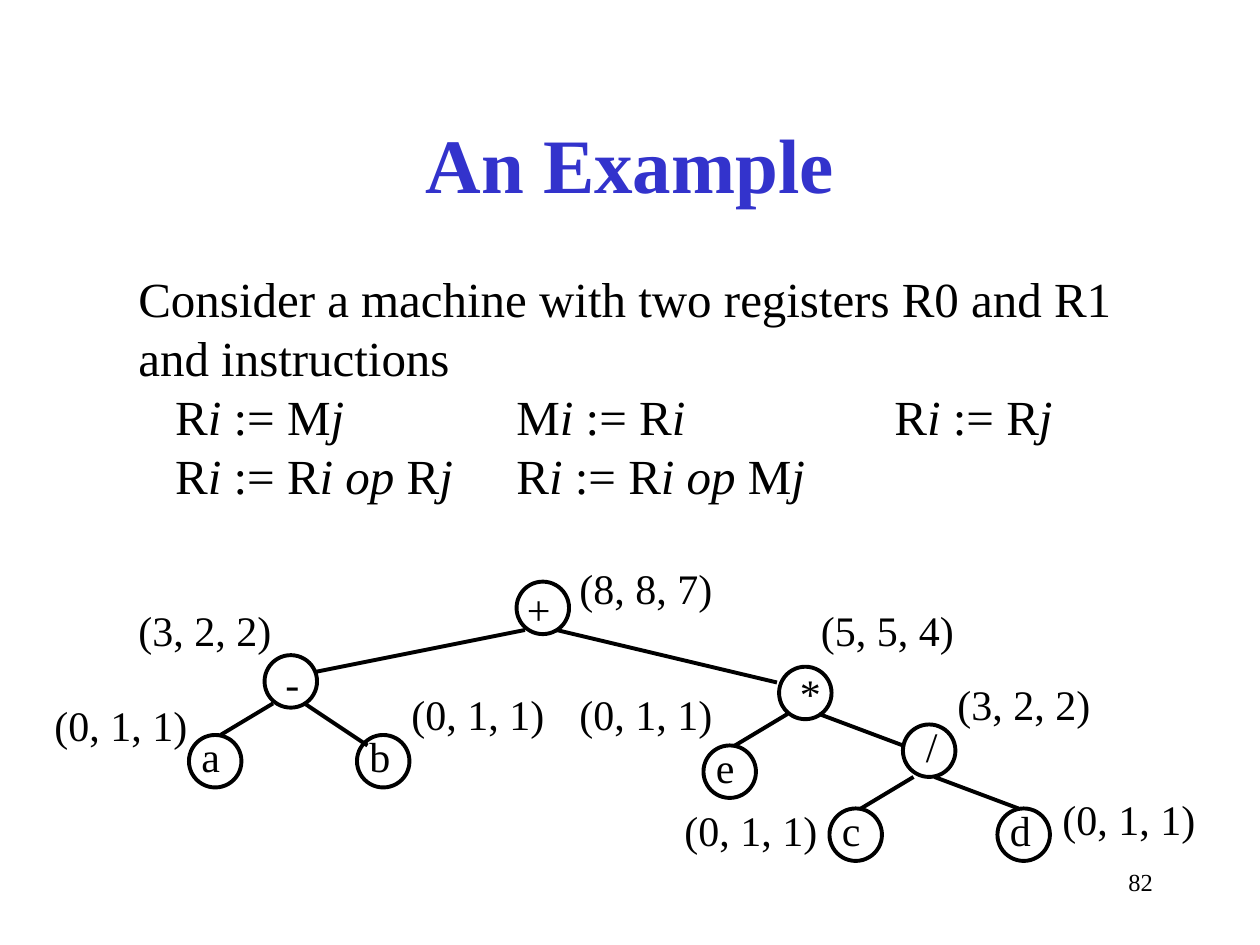
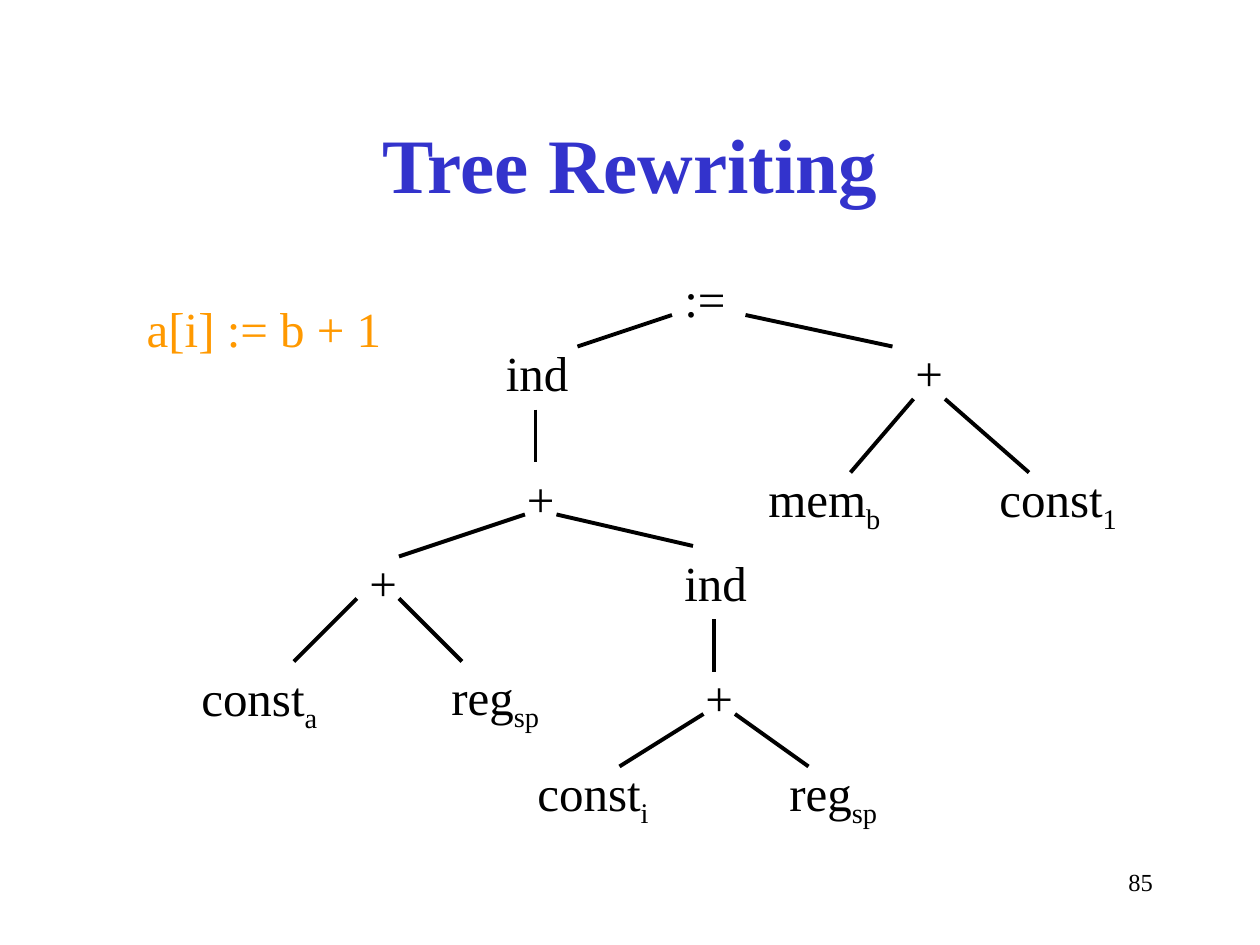
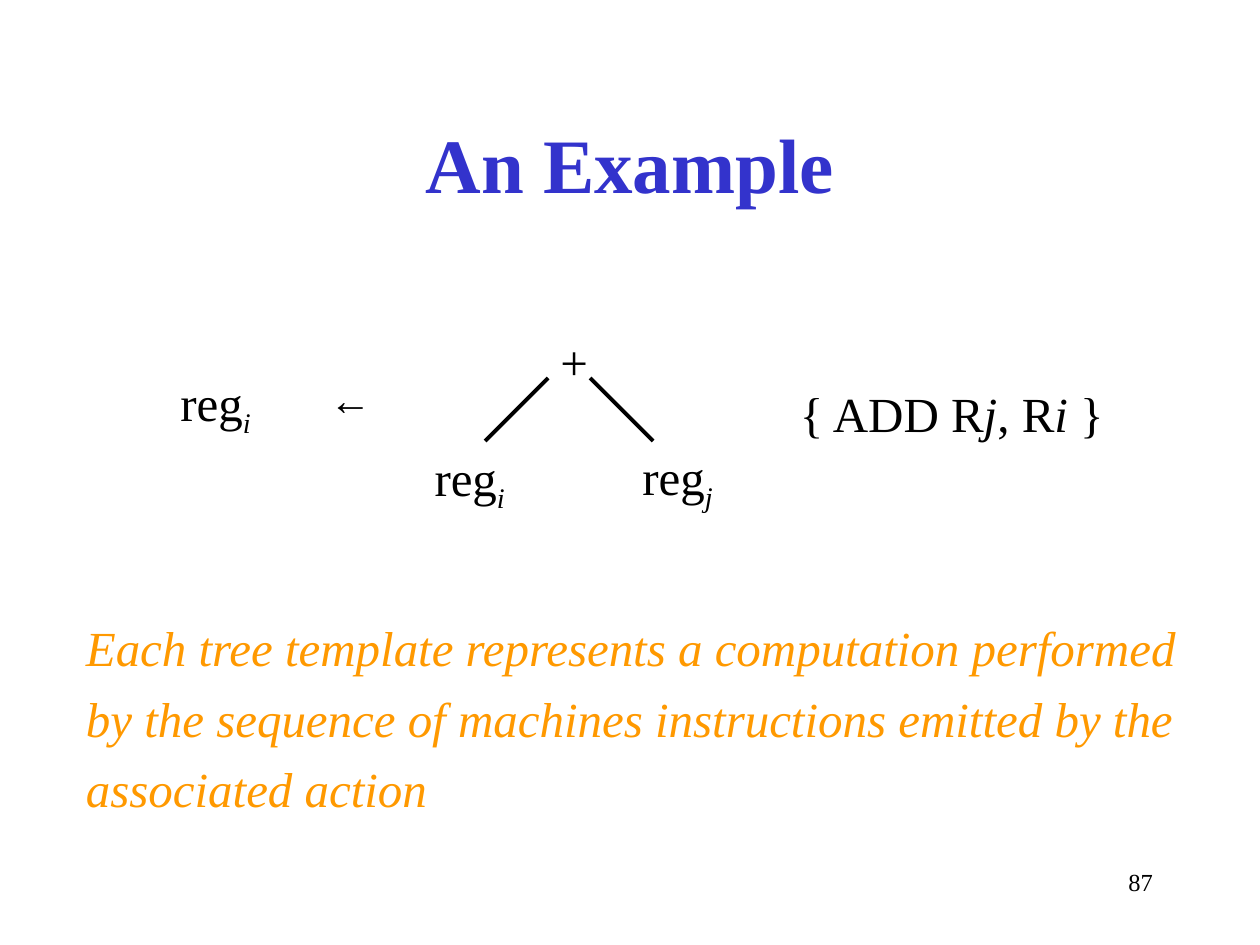
from lxml.etree import SubElement
from pptx import Presentation
from pptx.dml.color import RGBColor
from pptx.enum.shapes import MSO_CONNECTOR, MSO_SHAPE
from pptx.enum.text import MSO_ANCHOR, MSO_AUTO_SIZE, PP_ALIGN
from pptx.oxml.ns import qn
from pptx.util import Inches, Pt

BLACK = RGBColor(0x00, 0x00, 0x00)
BLUE = RGBColor(0x33, 0x33, 0xCC)
ORANGE = RGBColor(0xFF, 0x99, 0x00)
FONT = "Times New Roman"
WIDTH, HEIGHT = Inches(10), Inches(7.5)
COLUMNS = 120
CELL = WIDTH / COLUMNS
LINE_WIDTH = Pt(2.25)
NODE_SIZE = 5
COST_WIDTH = 15.1
BODY_SIZE, TREE_SIZE = 28, 24
INSTRUCTION_STOPS = (3.5, 36, 72)


def cells(count):
    """Return the length of a number of grid cells."""
    return round(count * CELL)


def add_runs(paragraph, text):
    """Add runs; a tilde toggles italics and an underscore starts a subscript."""
    for level, part in enumerate(text.split("_")):
        for index, piece in enumerate(part.split("~")):
            if not piece:
                continue
            run = paragraph.add_run()
            run.text = piece
            if index % 2:
                run.font.italic = True
            if level:
                run._r.get_or_add_rPr().set("baseline", "-25000")


def add_tab_stops(paragraph, stops):
    """Set the left tab stops of a paragraph."""
    tabs = SubElement(paragraph._p.get_or_add_pPr(), qn("a:tabLst"))
    for stop in stops:
        SubElement(tabs, qn("a:tab"), pos=str(cells(stop)), algn="l")


def add_text(slide, text, column, row, width, size=BODY_SIZE, color=BLACK, bold=None,
             italic=None, align=None, spacing=None, wrap=False, height=None, stops=()):
    """Add a text box with one paragraph a line, as tall as its text by default."""
    lines = text.split("\n")
    fitted = Inches(0.1) + Pt(size * 1.2 * (spacing or 1) * len(lines))
    box = slide.shapes.add_textbox(cells(column), cells(row), cells(width),
                                   cells(height) if height else fitted)
    frame = box.text_frame
    frame.word_wrap = wrap
    frame.auto_size = MSO_AUTO_SIZE.NONE if height else MSO_AUTO_SIZE.SHAPE_TO_FIT_TEXT
    for index, line in enumerate(lines):
        paragraph = frame.add_paragraph() if index else frame.paragraphs[0]
        paragraph.alignment = align
        paragraph.line_spacing = spacing
        if "\t" in line:
            add_tab_stops(paragraph, stops)
        add_runs(paragraph, line)
        font = paragraph.font
        font.name, font.size, font.bold, font.italic = FONT, Pt(size), bold, italic
        font.color.rgb = color
    return box


def add_edges(slide, edges):
    """Draw the branches of a tree from (column, row) pairs."""
    for edge in edges:
        connector = slide.shapes.add_connector(MSO_CONNECTOR.STRAIGHT, *map(cells, edge))
        connector.line.color.rgb = BLACK
        connector.line.width = LINE_WIDTH
        SubElement(connector._element.spPr, qn("a:effectLst"))


def add_circle(slide, column, row):
    """Draw the outline of a tree node."""
    circle = slide.shapes.add_shape(MSO_SHAPE.OVAL, cells(column), cells(row),
                                    cells(NODE_SIZE), cells(NODE_SIZE))
    circle.shadow.inherit = False
    circle.fill.background()
    circle.line.color.rgb = BLACK
    circle.line.width = LINE_WIDTH


def add_titled_slide(presentation, title, number):
    """Add a blank slide with its title and page number."""
    slide = presentation.slides.add_slide(presentation.slide_layouts[6])
    add_text(slide, number, 86, 82, 25, size=14, align=PP_ALIGN.RIGHT, wrap=True, height=6)
    heading = add_text(slide, title, 9, 8, 102, size=44, color=BLUE, bold=True,
                       align=PP_ALIGN.CENTER, wrap=True, height=15)
    heading.text_frame.vertical_anchor = MSO_ANCHOR.MIDDLE
    return slide


def build_cost_example(presentation):
    """Build the expression tree with its cost vectors."""
    slide = add_titled_slide(presentation, "An Example", "82")
    add_text(slide, "Consider a machine with two registers R0 and R1\n"
             "and instructions\n"
             "\tR~i~ := M~j~\tM~i~ := R~i~\tR~i~ := R~j\n"
             "\tR~i~ := R~i op~ R~j~\tR~i~ := R~i op~ M~j",
             12, 25, 95.2, stops=INSTRUCTION_STOPS)

    operators = [("-", 26, 62, 3.7, 25.2, 62.4), ("+", 49, 55, 4.7, 49.2, 55.4),
                 ("/", 87, 68, 3.5, 86, 69), ("*", 75, 63, 4.4, 74.2, 63.5)]
    for symbol, column, row, width, circle_column, circle_row in operators:
        add_text(slide, symbol, column, row, width, size=TREE_SIZE)
        add_circle(slide, circle_column, circle_row)

    leaves = [("a", 18, 70), ("b", 34, 70), ("e", 67, 71), ("c", 79, 77), ("d", 95, 77)]
    for letter, column, row in leaves:
        add_text(slide, letter, column, row - 1, 7, size=TREE_SIZE, wrap=True)
        add_circle(slide, column, row)

    costs = [("(0, 1, 1)", [(4, 66), (54, 65), (100, 75), (38, 65), (64, 76)]),
             ("(3, 2, 2)", [(12, 57), (90, 64)]),
             ("(5, 5, 4)", [(77, 57)]),
             ("(8, 8, 7)", [(54, 53)])]
    for cost, places in costs:
        for column, row in places:
            add_text(slide, cost, column, row, COST_WIDTH, size=TREE_SIZE)

    add_edges(slide, [(50, 60, 30, 64), (53, 60, 74, 65), (26, 67, 21, 70), (29, 67, 35, 71),
                      (75, 68, 70, 71), (78, 68, 86, 71), (87, 74, 82, 77), (89, 74, 97, 77)])


def build_tree_rewriting(presentation):
    """Build the intermediate tree of an assignment."""
    slide = add_titled_slide(presentation, "Tree Rewriting", "85")
    nodes = [(":=", 64, 25, 6.4), ("ind", 47, 32, 8.4), ("+", 86, 32, 5),
             ("mem_b", 72, 44, 13.3), ("const_1", 94, 44, 13.8), ("+", 49, 44, 5),
             ("+", 34, 52, 5), ("+", 66, 63, 5), ("ind", 64, 52, 8.4),
             ("const_i", 50, 72, 13.1), ("const_a", 18, 63, 13.7),
             ("reg_sp", 41.8, 62.9, 11.2), ("reg_sp", 74, 72, 11.2)]
    for node in nodes:
        add_text(slide, *node)
    add_edges(slide, [(64, 30, 55, 33), (71, 30, 85, 33), (87, 38, 81, 45), (90, 38, 98, 45),
                      (51, 39, 51, 44), (50, 49, 38, 53), (53, 49, 66, 52), (34, 57, 28, 63),
                      (38, 57, 44, 63), (68, 59, 68, 64), (67, 68, 59, 73), (70, 68, 77, 73)])
    add_text(slide, "a[i] := b + 1", 12.8, 27.8, 24.7, color=ORANGE)


def build_template_example(presentation):
    """Build the tree template with its emitted instruction."""
    slide = add_titled_slide(presentation, "An Example", "87")
    add_text(slide, "←", 30.2, 35, 6.4, size=TREE_SIZE, bold=True)
    for node in [("reg_~i", 16, 34.9, 9.2), ("+", 52.2, 31, 5),
                 ("reg_~i", 40.2, 42, 9.2), ("reg_~j", 60, 41.9, 9.2),
                 ("{ ADD R~j~, R~i~ }", 75, 35.9, 31.7)]:
        add_text(slide, *node)
    add_edges(slide, [(52.2, 36, 46.2, 42), (56.2, 36, 62.2, 42)])
    add_text(slide, "Each tree template represents a computation performed\n"
             "by the sequence of machines instructions emitted by the\n"
             "associated action", 7, 57.1, 106.7, color=ORANGE, italic=True, spacing=1.2)


def main():
    """Build the three slides and save them."""
    presentation = Presentation()
    presentation.slide_width, presentation.slide_height = WIDTH, HEIGHT
    build_cost_example(presentation)
    build_tree_rewriting(presentation)
    build_template_example(presentation)
    presentation.save("out.pptx")


if __name__ == "__main__":
    main()
